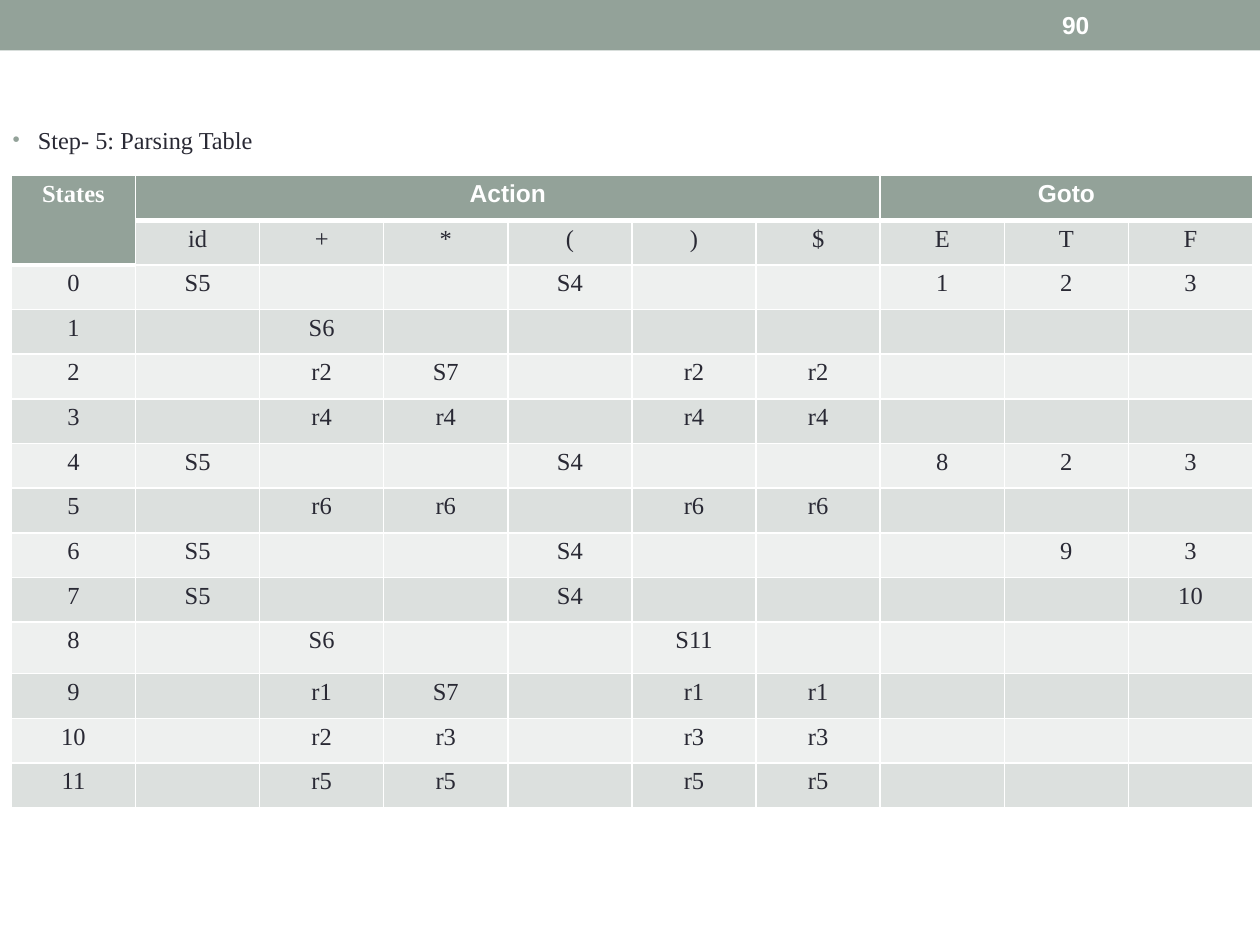
from typing import NamedTuple

from lxml.etree import SubElement
from pptx import Presentation
from pptx.dml.color import RGBColor
from pptx.enum.shapes import MSO_SHAPE
from pptx.enum.text import MSO_ANCHOR, PP_ALIGN
from pptx.oxml.ns import qn
from pptx.util import Cm, Pt

COLORS = {
    "sage": "93A299",
    "ink": "292934",
    "white": "FFFFFF",
    "dark": "DCE0DE",
    "light": "EEF0EF",
}
SERIF, SANS = "Times New Roman", "Arial"
SYMBOLS = "id + * ( ) $ E T F".split()
ROW, TALL = 0.9, 1.04


class State(NamedTuple):
    name: str
    moves: str  # one entry per symbol, a dot for an empty cell


class Style(NamedTuple):
    face: str
    color: str
    bold: bool = False
    size: float = 14


STATES = [
    State("0", "S5 . . S4 . . 1 2 3"),
    State("1", ". S6 . . . . . . ."),
    State("2", ". r2 S7 . r2 r2 . . ."),
    State("3", ". r4 r4 . r4 r4 . . ."),
    State("4", "S5 . . S4 . . 8 2 3"),
    State("5", ". r6 r6 . r6 r6 . . ."),
    State("6", "S5 . . S4 . . . 9 3"),
    State("7", "S5 . . S4 . . . . 10"),
    State("8", ". S6 . . S11 . . . ."),
    State("9", ". r1 S7 . r1 r1 . . ."),
    State("10", ". r2 r3 . r3 r3 . . ."),
    State("11", ". r5 r5 . r5 r5 . . ."),
]
BODY = Style(SERIF, "ink")
HEAD = Style(SANS, "white", True)


def rgb(name: str) -> RGBColor:
    return RGBColor.from_string(COLORS[name])


def write(frame, text: str, style: Style):
    """Fill the first paragraph with one styled run and return it."""
    para = frame.paragraphs[0]
    para.text = text
    for run in para.runs:
        run.font.name = style.face
        run.font.size = Pt(style.size)
        run.font.bold = style.bold
        run.font.color.rgb = rgb(style.color)
    return para


def heavy(row: int, col: int) -> bool:
    """Tell whether the cell has the thick rule of the header below it."""
    return row == 0 or (row, col) == (1, 0)


def add_rules(cell, row: int, col: int) -> None:
    widths = {
        "L": 1,
        "R": 1,
        "T": 3 if row and heavy(row - 1, col) else 1,
        "B": 3 if heavy(row, col) else 1,
    }
    props = cell._tc.get_or_add_tcPr()
    for side, width in widths.items():
        line = SubElement(props, qn(f"a:ln{side}"), w=str(Pt(width)))
        fill = SubElement(line, qn("a:solidFill"))
        SubElement(fill, qn("a:srgbClr"), val=COLORS["white"])


def fill_cell(cell, row: int, col: int, text: str) -> None:
    cell.margin_left = cell.margin_right = Cm(0.18)
    cell.margin_top = cell.margin_bottom = Cm(0.1)
    add_rules(cell, row, col)
    cell.fill.solid()
    shade = "sage" if heavy(row, col) else "dark" if row % 2 else "light"
    cell.fill.fore_color.rgb = rgb(shade)
    style = BODY
    if heavy(row, col):
        style = HEAD if col else HEAD._replace(face=SERIF)
    para = write(cell.text_frame, text, style)
    para.alignment = PP_ALIGN.CENTER
    if not text:
        SubElement(para._p, qn("a:endParaRPr"), sz="1400")


def add_bar(slide, width: int) -> None:
    bar = slide.shapes.add_shape(MSO_SHAPE.RECTANGLE, 0, 0, width, Cm(1.02))
    bar.shadow.inherit = False
    bar.fill.solid()
    bar.fill.fore_color.rgb = rgb("sage")
    bar.line.fill.background()


def add_number(slide, text: str) -> None:
    box = slide.shapes.add_textbox(Cm(21.16), Cm(0.05), Cm(2.97), Cm(0.91))
    box.text_frame.word_wrap = True
    box.text_frame.vertical_anchor = MSO_ANCHOR.MIDDLE
    write(box.text_frame, text, HEAD)


def set_step(body, text: str) -> None:
    body.left, body.top = Cm(0), Cm(2.39)
    body.width, body.height = Cm(5.64), Cm(1.07)
    para = body.text_frame.paragraphs[0]
    props = para._p.get_or_add_pPr()
    props.set("marL", str(Cm(0.51)))
    props.set("indent", str(Cm(-0.51)))
    para.space_before = Pt(0)
    tint = SubElement(props, qn("a:buClr"))
    SubElement(tint, qn("a:srgbClr"), val=COLORS["sage"])
    SubElement(props, qn("a:buSzPct"), val="85000")
    SubElement(props, qn("a:buFont"), typeface=SANS)
    SubElement(props, qn("a:buChar"), char="•")
    write(body.text_frame, text, BODY._replace(size=13.9))


def add_grid(slide) -> None:
    heights = [TALL if s.name == "8" else ROW for s in STATES]
    heights = [ROW, ROW] + heights
    cols = len(SYMBOLS) + 1
    frame = slide.shapes.add_table(
        len(heights), cols, Cm(0.23), Cm(3.54), Cm(25.02), Cm(sum(heights))
    )
    table = frame.table
    for row, height in zip(table.rows, heights):
        row.height = Cm(height)

    top = ["States", "Action"] + [""] * 5 + ["Goto", "", ""]
    lines = [top, [""] + SYMBOLS]
    for state in STATES:
        moves = ["" if m == "." else m for m in state.moves.split()]
        lines.append([state.name] + moves)
    for row, line in enumerate(lines):
        for col, text in enumerate(line):
            fill_cell(table.cell(row, col), row, col, text)

    for start, end in [((0, 0), (1, 0)), ((0, 1), (0, 6)), ((0, 7), (0, 9))]:
        table.cell(*start).merge(table.cell(*end))


def main() -> None:
    deck = Presentation()
    deck.slide_width, deck.slide_height = Cm(25.4), Cm(19.05)
    slide = deck.slides.add_slide(deck.slide_layouts[1])
    title = slide.shapes.title.element
    title.getparent().remove(title)
    add_bar(slide, deck.slide_width)
    set_step(slide.placeholders[1], "Step- 5: Parsing Table")
    add_number(slide, "90")
    add_grid(slide)
    deck.save("out.pptx")


if __name__ == "__main__":
    main()
